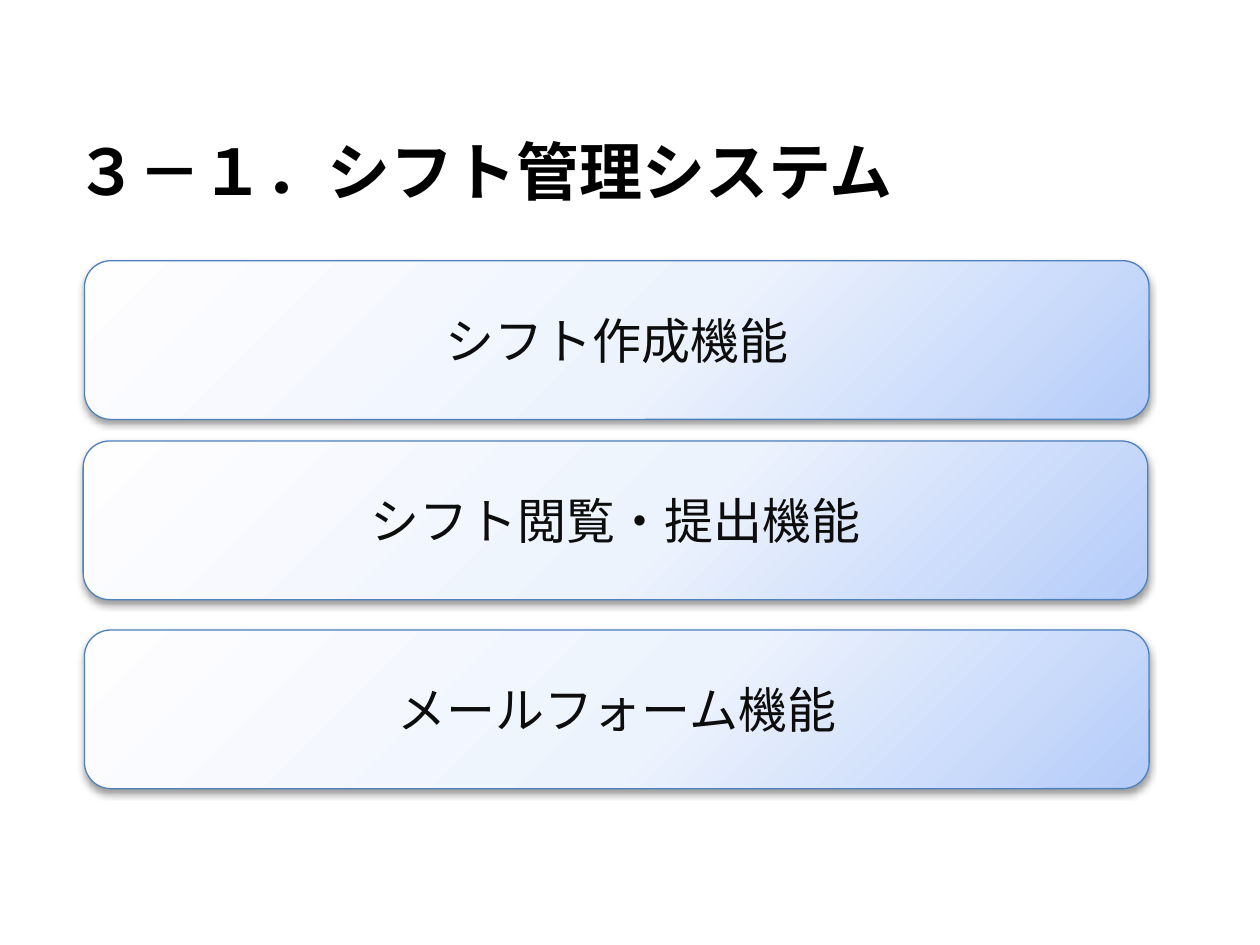
from lxml.etree import SubElement
from pptx import Presentation
from pptx.dml.color import RGBColor
from pptx.enum.shapes import MSO_SHAPE
from pptx.enum.text import MSO_ANCHOR, PP_ALIGN
from pptx.oxml import parse_xml
from pptx.oxml.ns import nsdecls, qn
from pptx.util import Pt

BLACK = RGBColor(0x00, 0x00, 0x00)
INK = RGBColor(0x0D, 0x0D, 0x0D)
BORDER = RGBColor(0x4F, 0x81, 0xBD)
STOPS = [
    (0, RGBColor(0xFE, 0xFE, 0xFF)),
    (55, RGBColor(0xED, 0xF3, 0xFD)),
    (100, RGBColor(0xB5, 0xCC, 0xF9)),
]
FONT = "Arial"
FEATURES = [
    ("シフト作成機能", 48.24, 149),
    ("シフト閲覧・提出機能", 47.52, 252),
    ("メールフォーム機能", 48.24, 360),
]


def add_text(tf, text, size, color, bold=False, align=PP_ALIGN.LEFT):
    tf.word_wrap = True
    p = tf.paragraphs[0]
    p.alignment = align
    r = p.add_run()
    r.text = text
    r.font.name = FONT
    r.font.size = Pt(size)
    r.font.bold = bold
    r.font.color.rgb = color


def set_radial_fill(sp):
    sp.fill.background()
    stops = "".join(
        f'<a:gs pos="{pos * 1000}"><a:srgbClr val="{color}"/></a:gs>'
        for pos, color in STOPS
    )
    grad = parse_xml(
        f'<a:gradFill {nsdecls("a")} rotWithShape="1"><a:gsLst>{stops}</a:gsLst>'
        '<a:path path="circle"><a:fillToRect l="-40000" t="-90000" '
        'r="140000" b="190000"/></a:path></a:gradFill>'
    )
    spPr = sp._element.spPr
    spPr.replace(spPr.find(qn("a:noFill")), grad)


def set_shadow(sp):
    sp.shadow.inherit = False
    effects = sp._element.spPr.find(qn("a:effectLst"))
    shadow = SubElement(
        effects, qn("a:outerShdw"), blurRad=str(Pt(4.1)), dist=str(Pt(2)),
        dir="5400000", rotWithShape="0",
    )
    color = SubElement(shadow, qn("a:srgbClr"), val=str(BLACK))
    SubElement(color, qn("a:alpha"), val="40000")


def add_title(s, x, y, w, h, text):
    tf = s.shapes.add_textbox(Pt(x), Pt(y), Pt(w), Pt(h)).text_frame
    add_text(tf, text, 36, BLACK, bold=True)


def add_feature(s, x, y, w, h, text):
    sp = s.shapes.add_shape(
        MSO_SHAPE.ROUNDED_RECTANGLE, Pt(x), Pt(y), Pt(w), Pt(h)
    )
    set_radial_fill(sp)
    sp.line.color.rgb = BORDER
    sp.line.width = Pt(0.75)
    set_shadow(sp)
    tf = sp.text_frame
    tf.vertical_anchor = MSO_ANCHOR.MIDDLE
    add_text(tf, text, 28, INK, align=PP_ALIGN.CENTER)


def main():
    prs = Presentation()
    prs.slide_width, prs.slide_height = Pt(720), Pt(540)
    s = prs.slides.add_slide(prs.slide_layouts[6])
    add_title(s, 36, 72, 648, 72, "３－１．シフト管理システム")
    for text, x, y in FEATURES:
        add_feature(s, x, y, 608.4, 90.72, text)
    prs.save("out.pptx")


if __name__ == "__main__":
    main()
